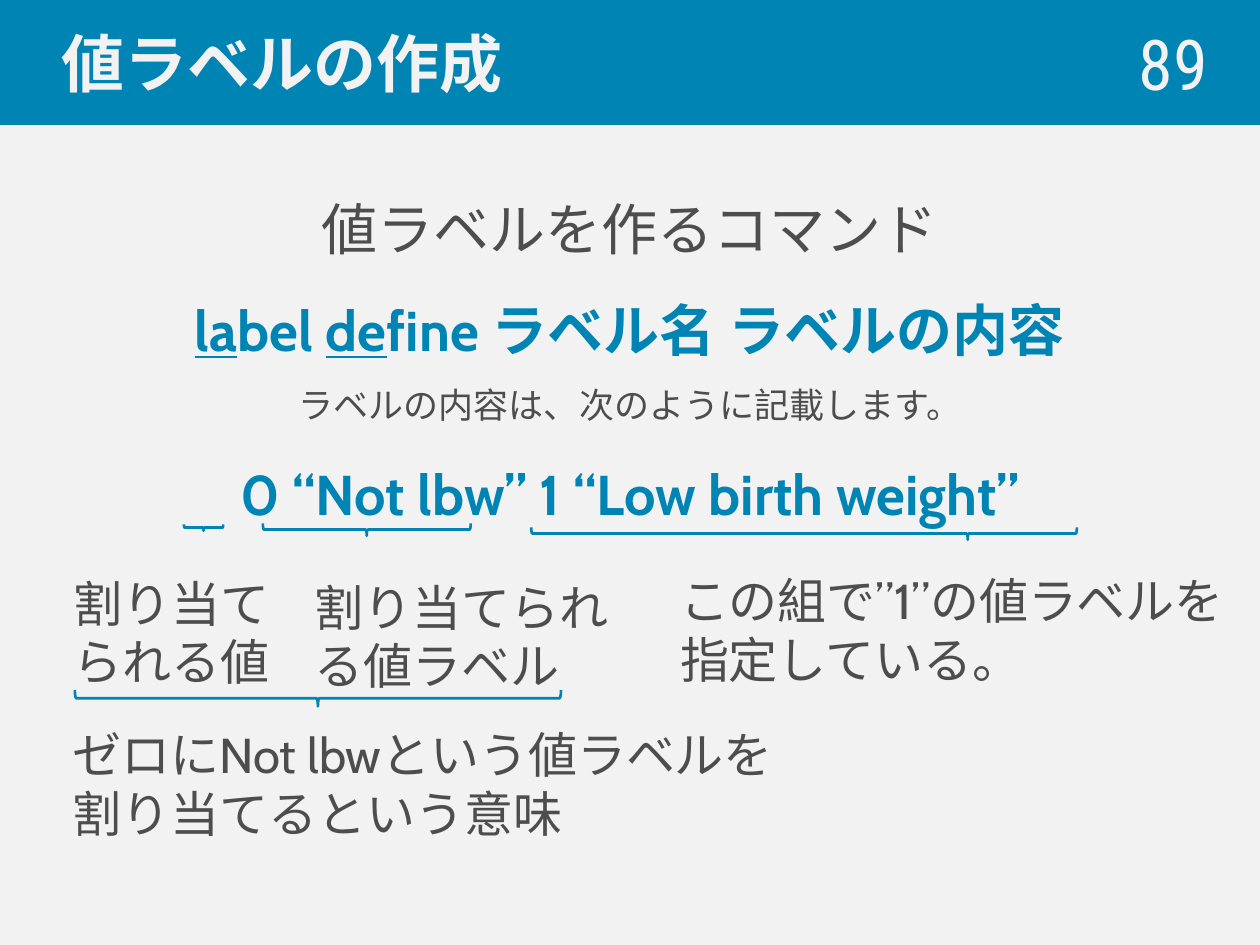
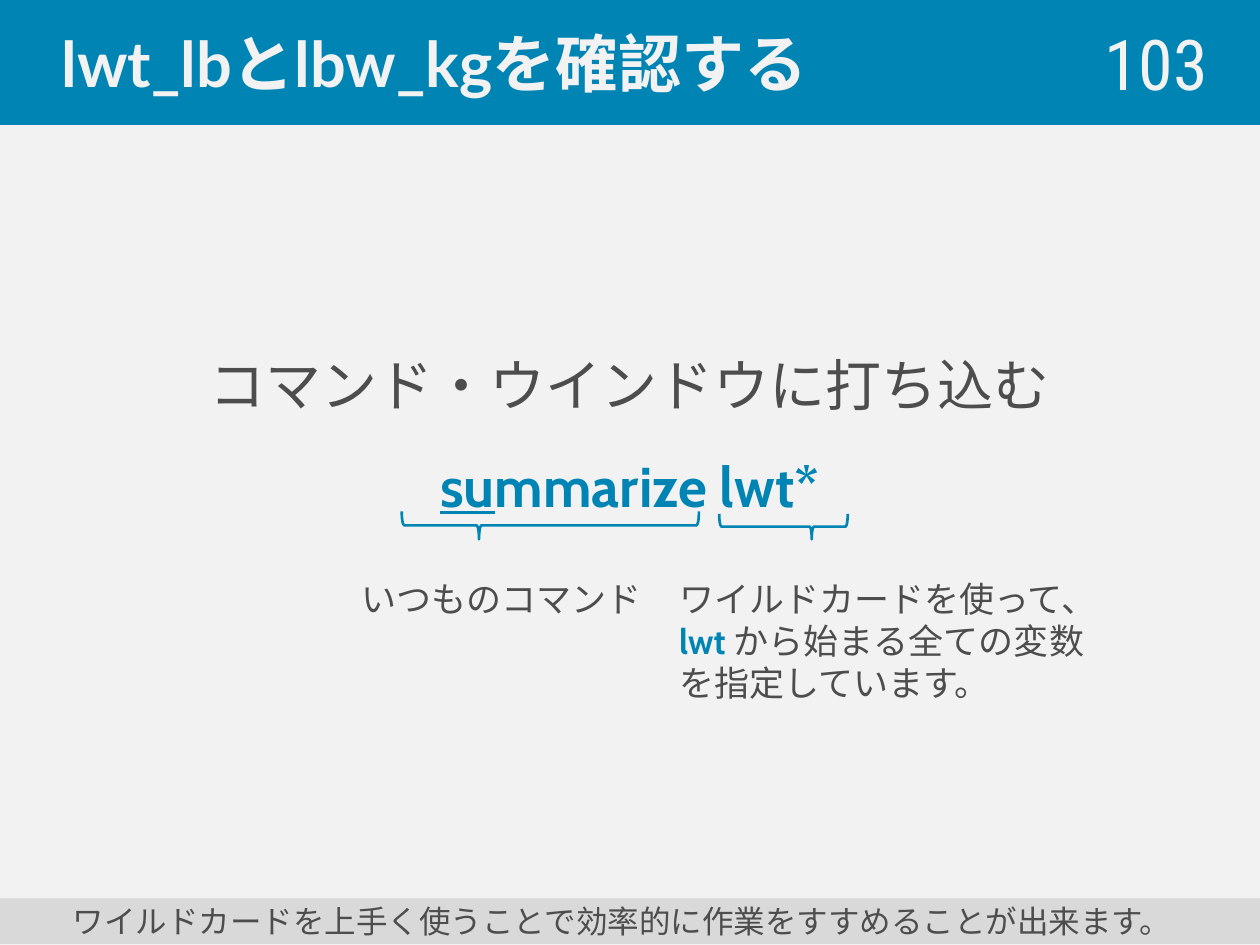
import pptx
import pptx.util
import pptx.dml.color
import pptx.enum.shapes
import pptx.enum.text
import pptx.oxml.ns
from lxml import etree

Cm, Pt = pptx.util.Cm, pptx.util.Pt
ALIGN = pptx.enum.text.PP_ALIGN
ANCHOR = pptx.enum.text.MSO_ANCHOR
SHAPE = pptx.enum.shapes.MSO_SHAPE

BLUE, PAPER, INK, GREY = "0084B4", "F2F2F2", "4D4D4D", "D9D9D9"
WIDTH, HEIGHT = 25.4, 19.05
BAND = (0, 0, WIDTH, 2.5)
COMMAND = dict(color=BLUE, bold=True)
KEY = dict(COMMAND, underline=True)


def color(code):
    return pptx.dml.color.RGBColor.from_string(code)


def place(shape, box):
    shape.left, shape.top, shape.width, shape.height = map(Cm, box)


def write(p, text, font="Cabin", size=28, color_code=INK, color_=None, **fmt):
    """Add one formatted run, using the font for Latin and Japanese alike."""
    r = p.add_run()
    r.text = text
    r.font.name, r.font.size = font, Pt(size)
    r.font.color.rgb = color(fmt.get("color", INK))
    r.font.bold = fmt.get("bold", False)
    r.font.underline = fmt.get("underline", False)
    ea = etree.Element(pptx.oxml.ns.qn("a:ea"), typeface=font)
    r.font._element.find(pptx.oxml.ns.qn("a:latin")).addnext(ea)


def frame(shape, anchor=ANCHOR.TOP):
    tf = shape.text_frame
    tf.word_wrap = True
    tf.auto_size = pptx.enum.text.MSO_AUTO_SIZE.NONE
    tf.vertical_anchor = anchor
    return tf


def text_box(s, box, anchor=ANCHOR.TOP, align=ALIGN.LEFT):
    tf = frame(s.shapes.add_textbox(*map(Cm, box)), anchor)
    tf.paragraphs[0].alignment = align
    return tf.paragraphs[0]


def title_band(s, box, title, number):
    x, y, w, h = box
    shape = s.shapes.title
    place(shape, box)
    shape.fill.solid()
    shape.fill.fore_color.rgb = shape.line.color.rgb = color(BLUE)
    shape.line.width = Pt(1.5)
    tf = frame(shape, ANCHOR.MIDDLE)
    tf.margin_left = Cm(1.24)
    tf.paragraphs[0].alignment = ALIGN.LEFT
    write(tf.paragraphs[0], title, font="Lato", size=36, color=PAPER, bold=True)
    p = text_box(s, (x + w - 5.7, y + 0.48, 4.9, h - 0.95),
                 ANCHOR.MIDDLE, ALIGN.RIGHT)
    write(p, number, font="Roboto Condensed", size=40, color=PAPER)


def body(s, box, lines, anchor=ANCHOR.TOP):
    """Fill the body with centred lines, each a list of (text, format)."""
    shape = s.placeholders[1]
    place(shape, box)
    tf = frame(shape, anchor)
    for i, line in enumerate(lines):
        p = tf.add_paragraph() if i else tf.paragraphs[0]
        pPr = p._p.get_or_add_pPr()
        pPr.set("marL", "0")
        pPr.set("indent", "0")
        etree.SubElement(pPr, pptx.oxml.ns.qn("a:buNone"))
        p.alignment, p.line_spacing, p.space_before = ALIGN.CENTER, 1.5, Pt(0)
        for text, fmt in line:
            write(p, text, **{"size": 32, **fmt})


def brace(s, x, y, w, h, tip=0.5):
    """Draw a brace that opens upwards and fills the given box."""
    shape = s.shapes.add_shape(SHAPE.LEFT_BRACE, Cm(x + (w - h) / 2),
                               Cm(y + (h - w) / 2), Cm(h), Cm(w))
    shape.rotation = 270
    shape.adjustments[1] = tip
    shape.shadow.inherit = False
    shape.fill.background()
    shape.line.color.rgb = color(BLUE)
    shape.line.width = Pt(1.5)


def annotations(s, origin, braces, notes, size):
    """Place braces and notes relative to the origin of their region."""
    left, top = origin
    for x, y, *rest in braces:
        brace(s, left + x, top + y, *rest)
    for (x, y, w, h), align, runs in notes:
        p = text_box(s, (left + x, top + y, w, h), align=align)
        for text, fmt in runs:
            if text == "\n":
                p.add_line_break()
            else:
                write(p, text, size=size, **fmt)


def footer(s, box, text):
    shape = s.shapes.add_shape(SHAPE.RECTANGLE, *map(Cm, box))
    shape.shadow.inherit = False
    shape.fill.solid()
    shape.fill.fore_color.rgb = color(GREY)
    shape.line.fill.background()
    tf = frame(shape, ANCHOR.MIDDLE)
    tf.margin_left = Cm(1.47)
    tf.paragraphs[0].alignment = ALIGN.LEFT
    write(tf.paragraphs[0], text, size=18)


def new_slide(prs, title, number):
    s = prs.slides.add_slide(prs.slide_layouts[1])
    s.background.fill.solid()
    s.background.fill.fore_color.rgb = color(PAPER)
    title_band(s, BAND, title, number)
    return s


def label_slide(prs):
    s = new_slide(prs, "値ラベルの作成", "89")
    body(s, (1.27, 3.12, 22.86, 13.89), [
        [("値ラベルを作るコマンド", {})],
        [("la", KEY), ("bel ", COMMAND), ("de", KEY),
         ("fine ラベル名 ラベルの内容", COMMAND)],
        [("ラベルの内容は、次のように記載します。", dict(size=20))],
        [("0 “Not lbw” 1 “Low birth weight”", COMMAND)],
    ])
    annotations(
        s, (1.2, 10.5),
        braces=[(4.1, 0.05, 4.19, 0.25), (2.51, 0.07, 0.79, 0.13),
                (0.31, 3.41, 9.8, 0.33), (9.51, 0.13, 11, 0.25, 0.8)],
        notes=[
            ((0.04, 0.93, 5.05, 2.72), ALIGN.LEFT, [("割り当てられる値", {})]),
            ((4.9, 1.01, 6.6, 2.64), ALIGN.LEFT, [("割り当てられる値ラベル", {})]),
            ((0.02, 3.98, 15, 2.64), ALIGN.LEFT,
             [("ゼロにNot lbwという値ラベルを割り当てるという意味", {})]),
            ((12.26, 0.88, 11.7, 2.64), ALIGN.LEFT,
             [("この組で”1”の値ラベルを指定している。", {})]),
        ], size=28)


def wildcard_slide(prs):
    s = new_slide(prs, "lwt_lbとlbw_kgを確認する", "103")
    body(s, (1.27, 3.12, 22.86, 10.59), [
        [("コマンド・ウインドウに打ち込む", {})],
        [("su", KEY), ("mmarize lwt*", COMMAND)],
    ], ANCHOR.MIDDLE)
    annotations(
        s, (6.7, 10.3),
        braces=[(1.4, 0.01, 5.99, 0.56, 0.26), (7.8, 0.06, 2.59, 0.51, 0.72)],
        notes=[
            ((0.01, 1.21, 6.81, 1.12), ALIGN.CENTER, [("いつものコマンド", {})]),
            ((6.74, 1.21, 9.04, 2.82), ALIGN.LEFT,
             [("ワイルドカードを使って、", {}), ("\n", {}), ("lwt ", COMMAND),
              ("から始まる全ての変数を指定しています。", {})]),
        ], size=20)
    footer(s, (0, 18.11, WIDTH, 0.92),
           "ワイルドカードを上手く使うことで効率的に作業をすすめることが出来ます。")


def main():
    prs = pptx.Presentation()
    prs.slide_width, prs.slide_height = Cm(WIDTH), Cm(HEIGHT)
    label_slide(prs)
    wildcard_slide(prs)
    prs.save("out.pptx")


if __name__ == "__main__":
    main()
